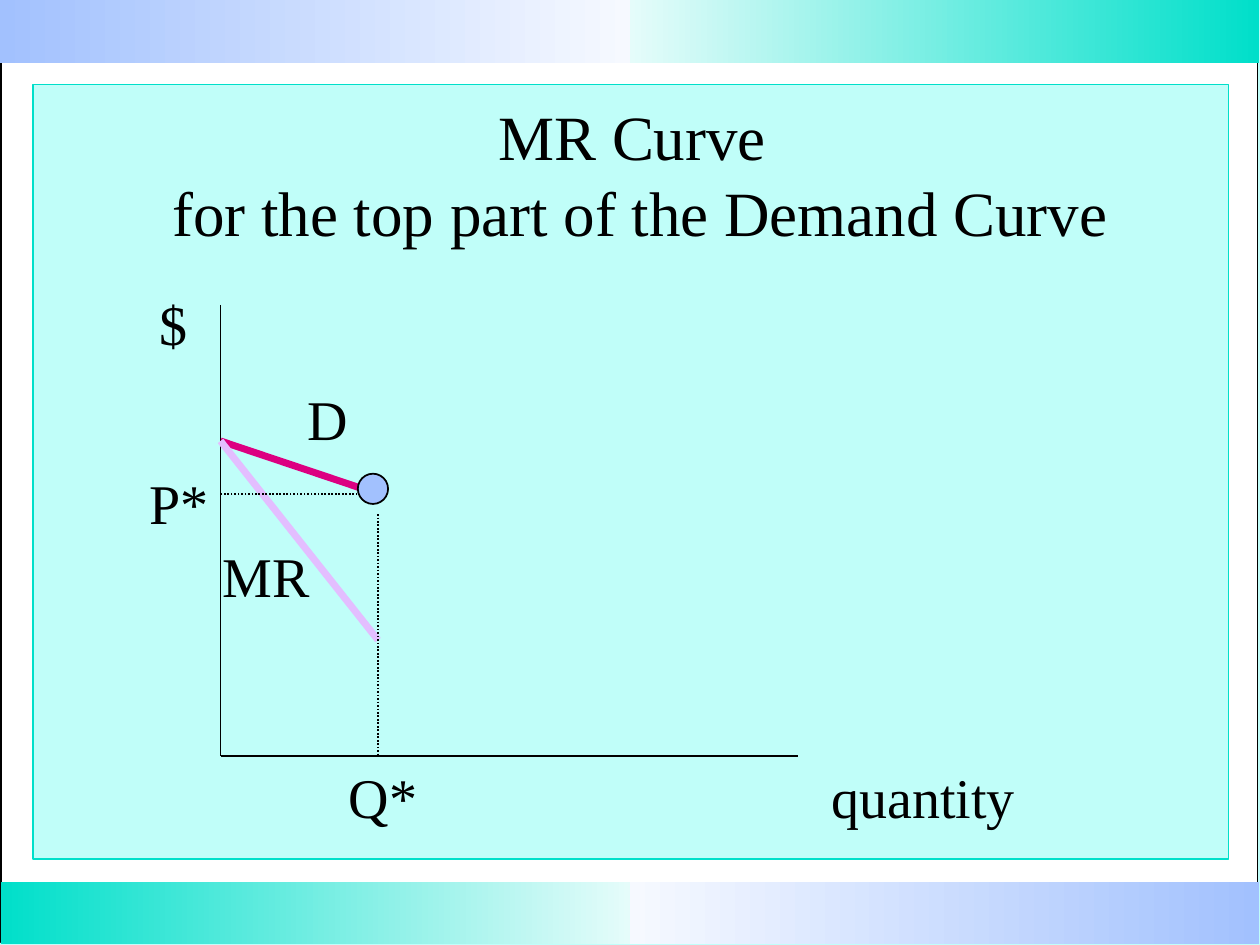
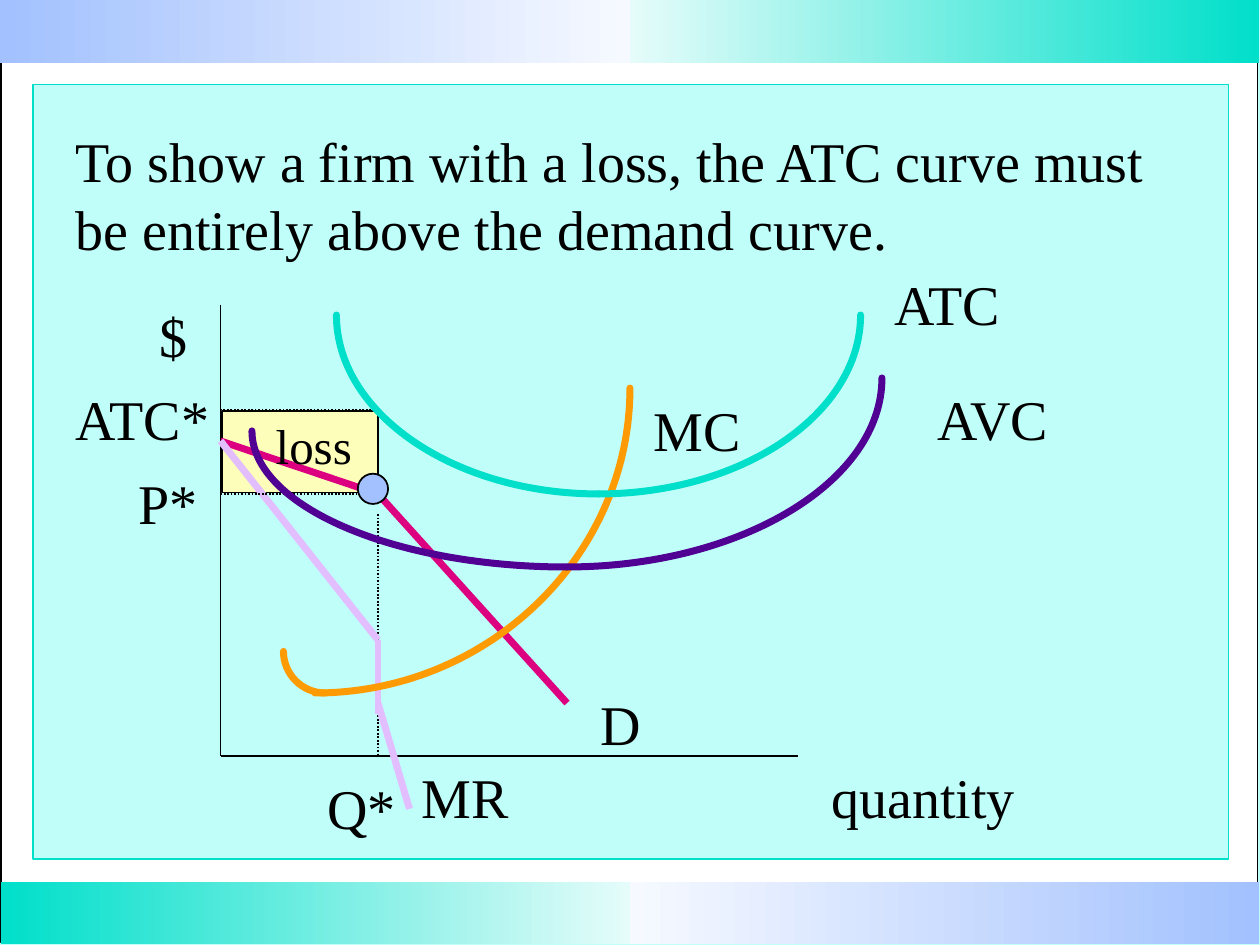
from pptx import Presentation
from pptx.dml.color import RGBColor
from pptx.enum.dml import MSO_LINE
from pptx.enum.shapes import MSO_CONNECTOR, MSO_SHAPE
from pptx.enum.text import MSO_ANCHOR, MSO_AUTO_SIZE, PP_ALIGN
from pptx.oxml.ns import qn
from pptx.oxml.xmlchemy import OxmlElement
from pptx.util import Inches, Pt

FONT = "Times New Roman"
ARC_PULL = 0.55
COLORS = {
    "black": "000000", "white": "FFFFFF", "mint": "C0FEF9", "teal": "00DFCA",
    "pale teal": "E5FCFA", "blue": "A2C1FE", "pale blue": "F6F9FF",
    "demand": "DC0081", "revenue": "E3BEFF", "loss": "FCFEB9",
    "MC": "FE9B03", "ATC": "00DFCA", "AVC": "500093",
}

PANELS = [
    ((0.01, 0.01, 9.97, 7.47), "white", "black"),
    ((0.26, 0.67, 9.49, 6.15), "mint", "teal"),
]
BANDS = [
    ((0, 0, 5, 0.5), "blue", "pale blue"),
    ((5, 0, 4.99, 0.5), "pale teal", "teal"),
    ((0.01, 7, 4.99, 0.49), "teal", "pale teal"),
    ((5, 7, 4.99, 0.49), "pale blue", "blue"),
]

ORIGIN, TOP, END = (1.75, 6), (1.75, 2.42), (6.33, 6)
INTERCEPT, KINK, MR_KINK = (1.75, 3.5), (3, 3.92), (3, 5.08)
AXES = [(TOP, ORIGIN, "black", 1), (ORIGIN, END, "black", 1)]
UPPER_CURVES = [(INTERCEPT, KINK, "demand", 4), (INTERCEPT, MR_KINK, "revenue", 4)]
QUANTITY_GUIDE = ((3, 4.08), (3, 6), "black", 1, True)
PRICE_GUIDE = ((2.92, 3.92), (1.75, 3.92), "black", 1, True)
KINK_DOT = (2.84, 3.76, 0.24, 0.24)

SLIDES = [
    {
        "title": ("MR Curve \vfor the top part of the Demand Curve", 36, PP_ALIGN.CENTER,
                  (0.58, 0.75, 9, 1.25)),
        "boxes": [],
        "lines": AXES + UPPER_CURVES + [PRICE_GUIDE, QUANTITY_GUIDE],
        "arcs": [],
        "labels": [
            ("quantity", 6.5, 6, 1.76), ("$", 1.17, 2.25, 0.51), ("D", 2.34, 3, 0.51),
            ("MR", 1.67, 4.25, 1.34), ("P*", 1.09, 3.67, 0.76), ("Q*", 2.67, 6, 0.76),
        ],
    },
    {
        "title": ("To show a firm with a loss, the ATC curve must be entirely above "
                  "the demand curve.", 32, PP_ALIGN.LEFT, (0.5, 0.75, 9, 1.58)),
        "boxes": [((1.76, 3.26, 1.24, 0.65), "loss", "black")],
        "lines": [QUANTITY_GUIDE] + AXES + UPPER_CURVES + [
            (KINK, (4.5, 5.58), "demand", 4),
            ((3, 5.58), (3.25, 6.42), "revenue", 4),
            (MR_KINK, (3, 5.67), "revenue", 4),
            PRICE_GUIDE,
            ((3, 3.75), (3, 3.25), "black", 1, True),
            ((3, 3.25), (1.75, 3.25), "black", 1, True),
        ],
        "arcs": [
            ("MC", (2.5, 3.08), 2.5, 2.42), ("MC", (2.58, 5.17), -0.33, 0.33),
            ("ATC", (4.75, 2.5), -2.08, 1.42), ("ATC", (4.75, 2.5), 2.08, 1.42),
            ("AVC", (4.5, 3.42), -2.5, 1.08), ("AVC", (4.5, 3), 2.5, 1.5),
        ],
        "labels": [
            ("quantity", 6.5, 6, 1.76), ("$", 1.17, 2.34, 0.68), ("D", 4.67, 5.42, 0.51),
            ("MR", 3.25, 6, 1.34), ("Q*", 2.5, 6.09, 0.84), ("P*", 1, 3.67, 0.76),
            ("MC", 5.09, 3.09, 1.01), ("ATC", 7, 2.09, 1.18), ("ATC*", 0.5, 3, 1.34),
            ("loss", 2.09, 3.25, 0.84, 28), ("AVC", 7.34, 3, 1.26),
        ],
    },
]


def rgb(name):
    return RGBColor.from_string(COLORS[name])


def set_line(sp, color, width):
    sp.line.color.rgb = rgb(color)
    sp.line.width = Pt(width)


def set_font(p, size):
    p.font.name = FONT
    p.font.size = Pt(size)
    p.font.color.rgb = rgb("black")


def add_preset(s, box, fill, line, kind=MSO_SHAPE.RECTANGLE):
    sp = s.shapes.add_shape(kind, *map(Inches, box))
    sp.shadow.inherit = False
    sp.fill.solid()
    sp.fill.fore_color.rgb = rgb(fill)
    set_line(sp, line, 1)


def add_band(s, box, start, end):
    sp = s.shapes.add_shape(MSO_SHAPE.RECTANGLE, *map(Inches, box))
    sp.shadow.inherit = False
    sp.fill.gradient()
    sp.fill.gradient_angle = 0
    for stop, color, position in zip(sp.fill.gradient_stops, (start, end), (0, 1)):
        stop.color.rgb = rgb(color)
        stop.position = position
    sp.line.fill.background()


def add_line(s, start, end, color, width, dotted=False):
    sp = s.shapes.add_connector(MSO_CONNECTOR.STRAIGHT, *map(Inches, start + end))
    set_line(sp, color, width)
    if dotted:
        sp.line.dash_style = MSO_LINE.ROUND_DOT
    sp.element.spPr.append(OxmlElement("a:effectLst"))


def add_arc(s, color, centre, rx, ry):
    cx, cy = centre
    builder = s.shapes.build_freeform(Inches(cx + rx), Inches(cy))
    builder.add_line_segments([(Inches(cx), Inches(cy + ry))], close=False)
    sp = builder.convert_to_shape()
    bend = OxmlElement("a:cubicBezTo")
    for x, y in ((rx, ARC_PULL * ry), (ARC_PULL * rx, ry), (0, ry)):
        pt = OxmlElement("a:pt")
        pt.set("x", str(int(Inches(x - min(rx, 0)))))
        pt.set("y", str(int(Inches(y))))
        bend.append(pt)
    straight = next(sp.element.iter(qn("a:lnTo")))
    straight.getparent().replace(straight, bend)
    sp.shadow.inherit = False
    sp.fill.background()
    set_line(sp, color, 4)
    sp.element.spPr.find(qn("a:ln")).set("cap", "rnd")


def add_label(s, text, left, top, width, size=32):
    height = 0.63 if size == 32 else 0.56
    tf = s.shapes.add_textbox(*map(Inches, (left, top, width, height))).text_frame
    tf.word_wrap = True
    tf.auto_size = MSO_AUTO_SIZE.SHAPE_TO_FIT_TEXT
    tf.text = text
    set_font(tf.paragraphs[0], size)


def set_title(s, text, size, align, box):
    sp = s.shapes.title
    sp.left, sp.top, sp.width, sp.height = map(Inches, box)
    tf = sp.text_frame
    tf.text = text
    tf.word_wrap = True
    tf.auto_size = MSO_AUTO_SIZE.NONE
    tf.vertical_anchor = MSO_ANCHOR.MIDDLE
    p = tf.paragraphs[0]
    p.alignment = align
    set_font(p, size)


def dress_master(prs, s):
    master = prs.slide_master
    master.background.fill.solid()
    master.background.fill.fore_color.rgb = rgb("mint")
    frame = s.shapes.add_group_shape()
    for panel in PANELS:
        add_preset(frame, *panel)
    for band in BANDS:
        add_band(frame, *band)
    for i, props in enumerate(frame.element.iter(qn("p:cNvPr"))):
        props.set("id", str(100 + i))
    master.shapes.element.insert(2, frame.element)


def fill_slide(s, content):
    set_title(s, *content["title"])
    for box in content["boxes"]:
        add_preset(s, *box)
    for line in content["lines"]:
        add_line(s, *line)
    add_preset(s, KINK_DOT, "blue", "black", MSO_SHAPE.OVAL)
    for arc in content["arcs"]:
        add_arc(s, *arc)
    for label in content["labels"]:
        add_label(s, *label)


def main():
    prs = Presentation()
    prs.slide_width, prs.slide_height = Inches(10), Inches(7.5)
    slides = [prs.slides.add_slide(prs.slide_layouts[5]) for _ in SLIDES]
    dress_master(prs, slides[0])
    for s, content in zip(slides, SLIDES):
        fill_slide(s, content)
    prs.save("out.pptx")


if __name__ == "__main__":
    main()
